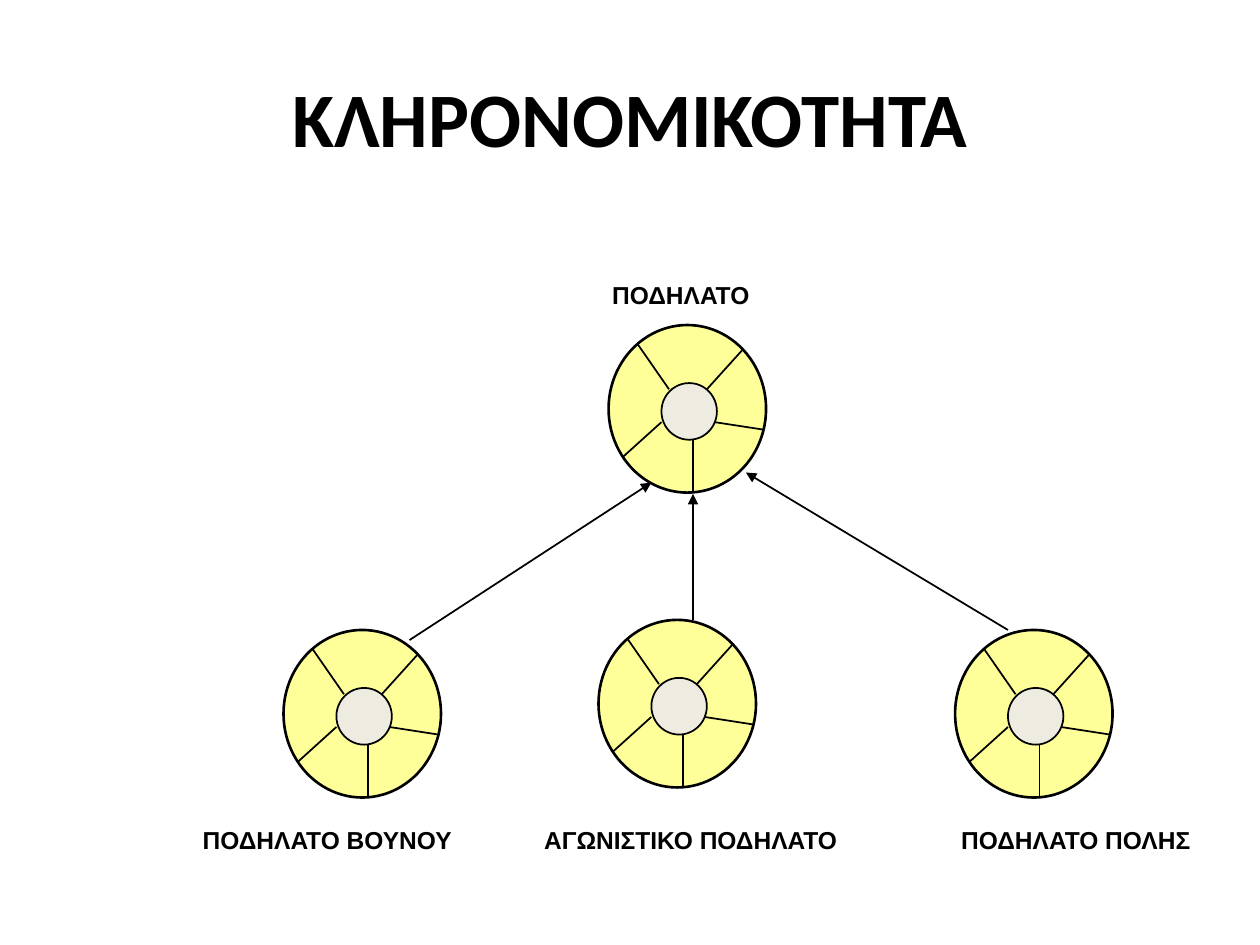
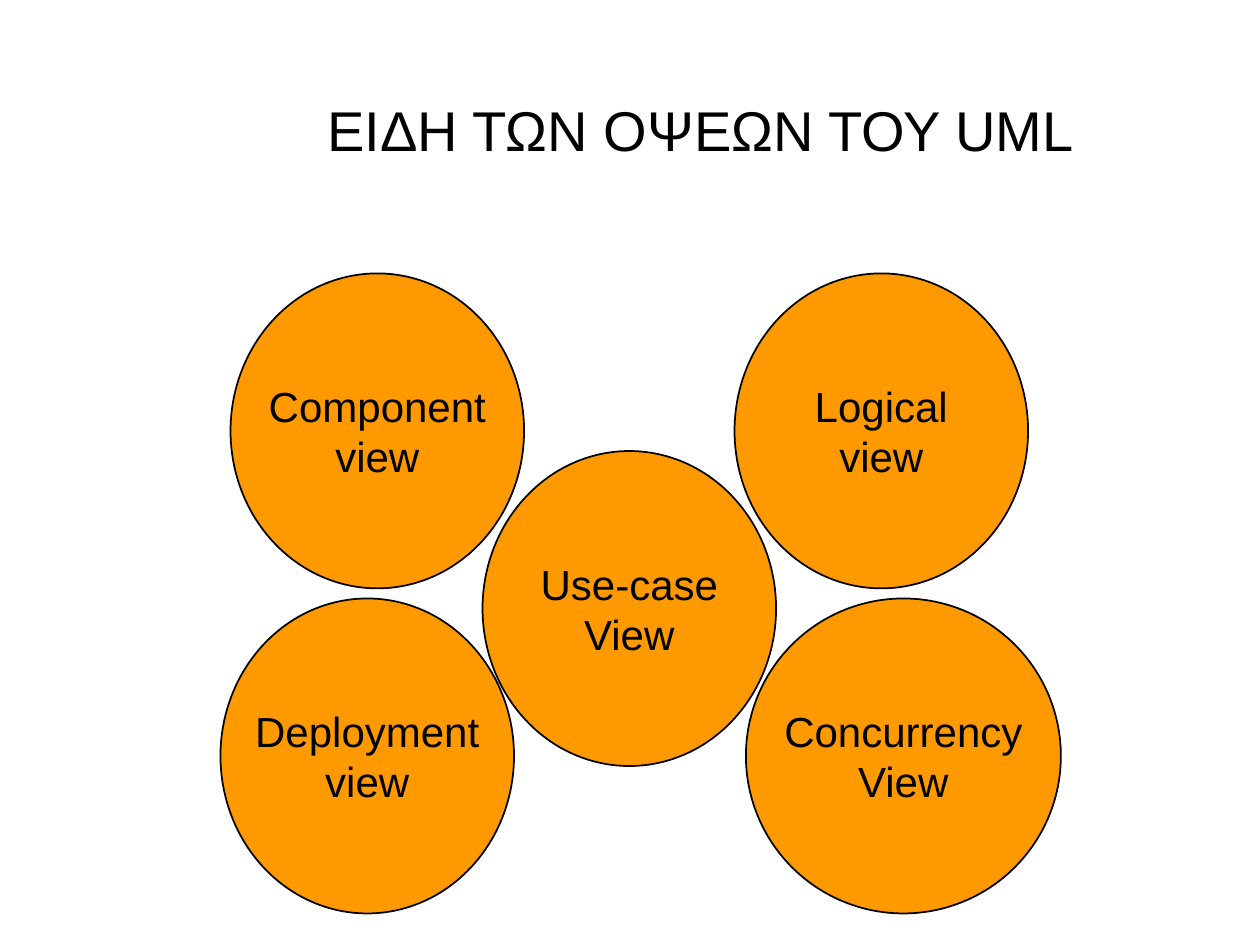
from lxml import etree
from pptx import Presentation
from pptx.dml.color import RGBColor
from pptx.enum.shapes import MSO_CONNECTOR, MSO_SHAPE
from pptx.enum.text import MSO_ANCHOR, PP_ALIGN
from pptx.oxml.ns import qn
from pptx.util import Inches, Pt

BLACK = RGBColor(0x00, 0x00, 0x00)
YELLOW = RGBColor(0xFF, 0xFF, 0x99)
CREAM = RGBColor(0xEE, 0xEC, 0xE1)
ORANGE = RGBColor(0xFF, 0x99, 0x00)
OVAL = MSO_SHAPE.OVAL
STRAIGHT = MSO_CONNECTOR.STRAIGHT
MIDDLE, TOP = MSO_ANCHOR.MIDDLE, MSO_ANCHOR.TOP
LEFT, CENTER = PP_ALIGN.LEFT, PP_ALIGN.CENTER

# Spokes as (x1, y1, x2, y2) from the wheel's top left corner
SPOKES = [
    (0.23, 0.15, 0.48, 0.51),
    (0.42, 0.77, 0.11, 1.05),
    (0.67, 0.91, 0.67, 1.33),
    (0.84, 0.77, 1.23, 0.83),
    (0.78, 0.51, 1.06, 0.2),
]
# Bikes as (caption, caption x, caption y, caption width, wheel x, wheel y)
BIKES = [
    ("ΠΟΔΗΛΑΤΟ", 3.26, 0, 1.31, 3.33, 0.41),
    ("ΠΟΔΗΛΑΤΟ ΒΟΥΝΟΥ", 0.01, 4.33, 2.21, 0.75, 2.83),
    ("ΑΓΩΝΙΣΤΙΚΟ ΠΟΔΗΛΑΤΟ", 2.72, 4.33, 2.56, 3.25, 2.75),
    ("ΠΟΔΗΛΑΤΟ ΠΟΛΗΣ", 6.03, 4.33, 2.05, 6.08, 2.83),
]
ARROWS = [
    (1.75, 2.91, 3.67, 1.66),
    (4, 2.75, 4, 1.75),
    (6.5, 2.83, 4.42, 1.58),
]
# Views as (lines, x, y, width)
VIEWS = [
    (("Use-case", "View"), 2.08, 1.41, 2.33),
    (("Component", "view"), 0.08, 0, 2.33),
    (("Logical", "view"), 4.08, 0, 2.33),
    (("Deployment", "view"), 0, 2.58, 2.33),
    (("Concurrency", "View"), 4.17, 2.58, 2.5),
]


def write(shape, lines, size, font="Arial", bold=False, align=LEFT,
          anchor=TOP, wrap=False):
    frame = shape.text_frame
    frame.word_wrap = wrap
    frame.vertical_anchor = anchor
    for i, line in enumerate(lines):
        para = frame.paragraphs[0] if i == 0 else frame.add_paragraph()
        para.alignment = align
        run = para.add_run()
        run.text = line
        run.font.size = Pt(size)
        run.font.name = font
        run.font.bold = bold
        run.font.color.rgb = BLACK


def add_text(slide, x, y, w, h, text, size, **style):
    box = slide.shapes.add_textbox(Inches(x), Inches(y), Inches(w), Inches(h))
    write(box, [text], size, **style)


def add_oval(shapes, x, y, w, h, fill, weight=1):
    oval = shapes.add_shape(OVAL, Inches(x), Inches(y), Inches(w), Inches(h))
    oval.shadow.inherit = False
    oval.fill.solid()
    oval.fill.fore_color.rgb = fill
    oval.line.color.rgb = BLACK
    oval.line.width = Pt(weight)
    return oval


def add_line(shapes, x, y, ends, arrow=False):
    """Draw a line whose ends are measured from (x, y)."""
    x1, y1, x2, y2 = ends
    line = shapes.add_connector(STRAIGHT, Inches(x + x1), Inches(y + y1),
                                Inches(x + x2), Inches(y + y2))
    line.line.color.rgb = BLACK
    line.line.width = Pt(1)
    if arrow:
        etree.SubElement(line.line._get_or_add_ln(), qn("a:tailEnd"),
                         type="triangle")
    etree.SubElement(line._element.spPr, qn("a:effectLst"))


def add_wheel(slide, x, y):
    parts = slide.shapes.add_group_shape().shapes
    add_oval(parts, x, y, 1.25, 1.33, YELLOW, 1.5)
    add_oval(parts, x + 0.42, y + 0.46, 0.44, 0.45, CREAM)
    for spoke in SPOKES:
        add_line(parts, x, y, spoke)


def add_tree(slide, x, y):
    """Draw the parent bike, its three kinds and the arrows up to it."""
    for text, left, top, width, across, down in BIKES:
        add_wheel(slide, x + across, y + down)
        add_text(slide, x + left, y + top, width, 0.34, text, 14, bold=True)
    for ends in ARROWS:
        add_line(slide.shapes, x, y, ends, arrow=True)


def add_views(slide, x, y):
    for lines, left, top, width in VIEWS:
        oval = add_oval(slide.shapes, x + left, y + top, width, 2.5, ORANGE)
        write(oval, lines, 24, align=CENTER, anchor=MIDDLE)


def main():
    deck = Presentation()
    deck.slide_width, deck.slide_height = Inches(10), Inches(7.5)
    blank = deck.slide_layouts[6]

    slide = deck.slides.add_slide(blank)
    add_text(slide, 0.5, 0.3, 9, 1.25, "ΚΛΗΡΟΝΟΜΙΚΟΤΗΤΑ", 44, font="Calibri",
             bold=True, align=CENTER, anchor=MIDDLE, wrap=True)
    add_tree(slide, 1.5, 2.17)

    slide = deck.slides.add_slide(blank)
    add_views(slide, 1.75, 2.17)
    add_text(slide, 2.5, 0.71, 6.67, 0.64, "ΕΙΔΗ ΤΩΝ ΟΨΕΩΝ ΤΟΥ UML", 32,
             wrap=True)

    deck.save("out.pptx")


if __name__ == "__main__":
    main()
